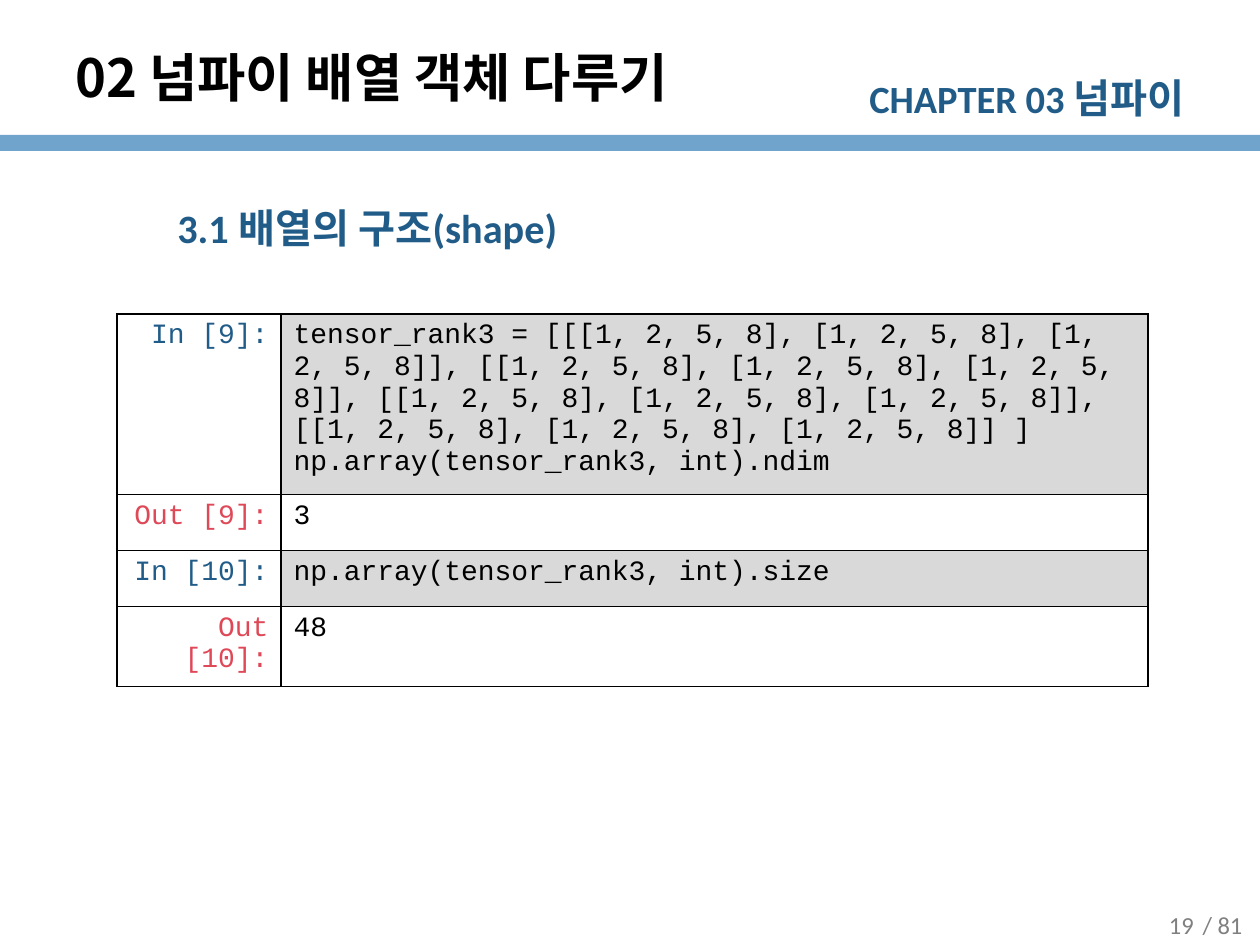
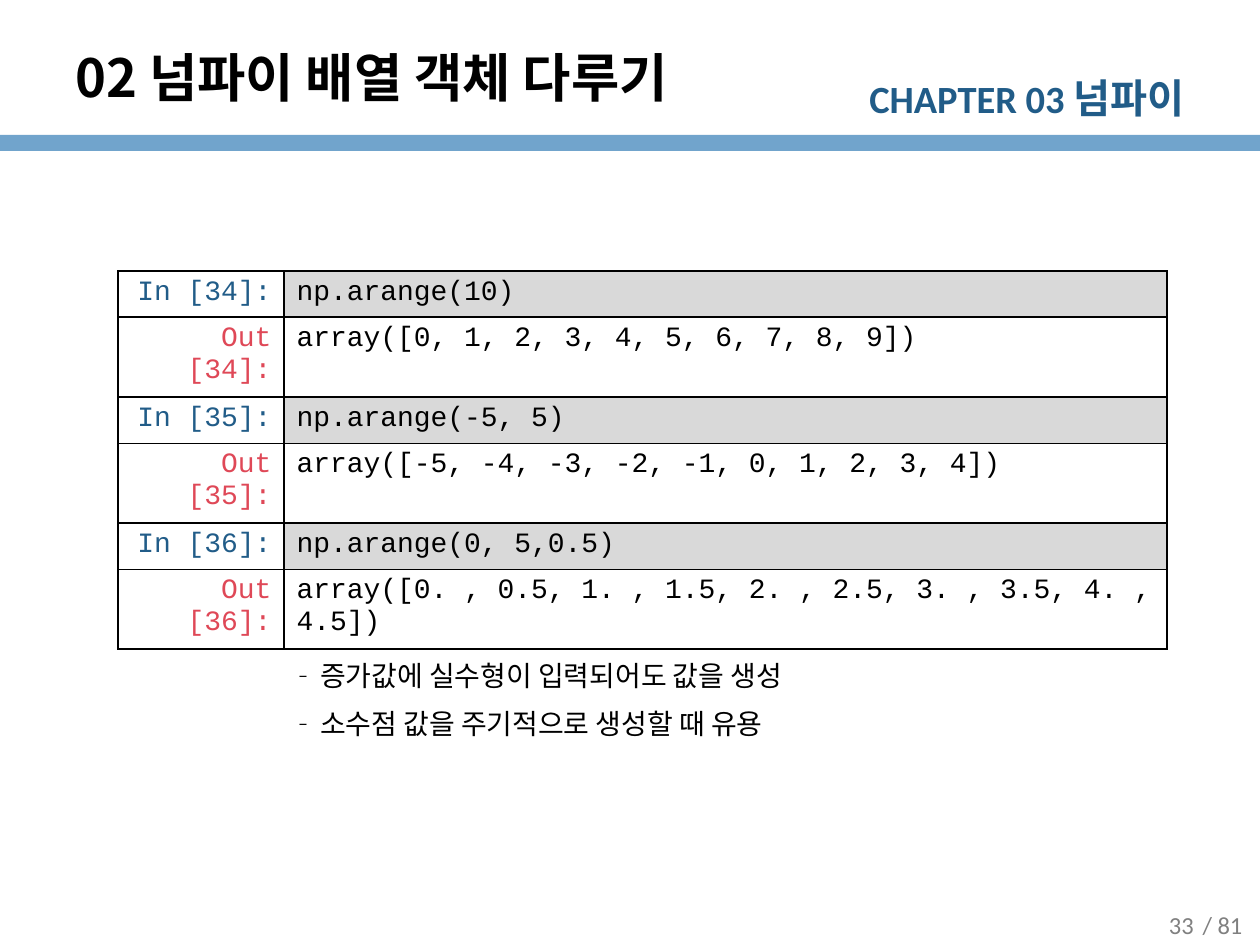
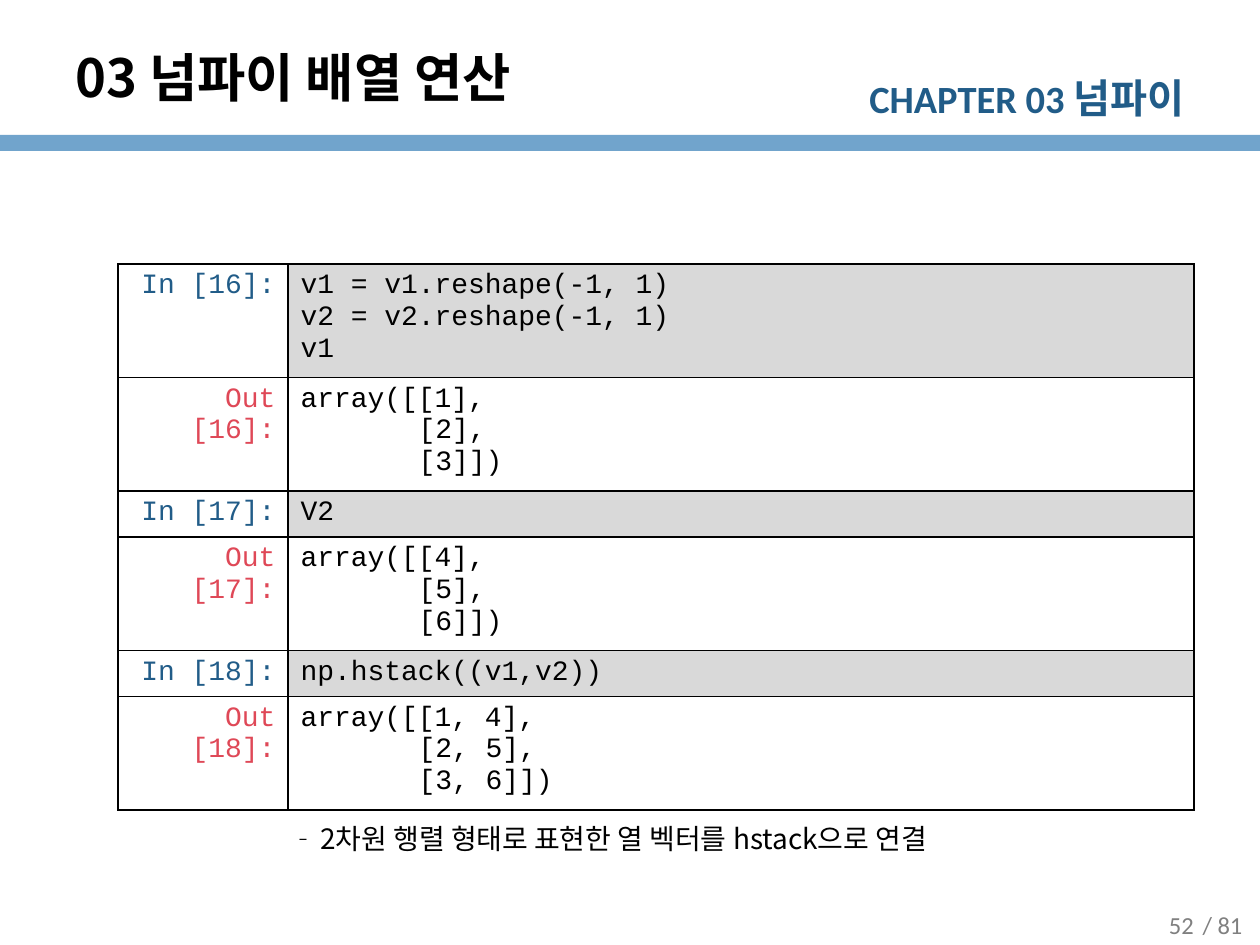
from dataclasses import dataclass

from lxml import etree
from pptx import Presentation
from pptx.dml.color import RGBColor
from pptx.enum.shapes import MSO_SHAPE
from pptx.enum.text import MSO_ANCHOR, PP_ALIGN
from pptx.oxml.ns import qn
from pptx.util import Pt

RECTANGLE = MSO_SHAPE.RECTANGLE
TOP, MIDDLE = MSO_ANCHOR.TOP, MSO_ANCHOR.MIDDLE
LEFT, CENTER, RIGHT = PP_ALIGN.LEFT, PP_ALIGN.CENTER, PP_ALIGN.RIGHT
EMU_PER_PX = 914400 / 126


@dataclass(frozen=True)
class Theme:
    band: str = "71A4CC"
    accent: str = "215C88"
    output: str = "DF4857"
    code_fill: str = "D9D9D9"
    black: str = "000000"
    gray: str = "808080"
    latin: str = "Calibri"
    korean: str = "Noto Sans CJK KR"
    code: str = "Courier New"
    title_size: int = 30
    heading_size: int = 23
    chapter_size: int = 22
    text_size: int = 16
    footer_size: int = 14
    border_width: int = 1
    line_spacing: float = 1.25


THEME = Theme()


@dataclass(frozen=True)
class Box:
    left: int
    top: int
    width: int
    height: int


@dataclass(frozen=True)
class Style:
    font: str
    size: int
    color: str
    bold: bool = False


@dataclass(frozen=True)
class CodeRow:
    """One input or output of the notebook, with the row height in px."""
    number: int
    height: int
    lines: tuple[str, ...]
    is_output: bool = False


@dataclass(frozen=True)
class Notebook:
    left: int
    top: int
    label_width: int
    code_width: int
    rows: tuple[CodeRow, ...]


@dataclass(frozen=True)
class Page:
    number: int
    title: str
    notebook: Notebook
    heading: str = ""
    bullets_top: int = 0
    bullets: tuple[str, ...] = ()


TITLE = Style(THEME.korean, THEME.title_size, THEME.black, True)
HEADING = Style(THEME.latin, THEME.heading_size, THEME.accent, True)
CHAPTER = Style(THEME.latin, THEME.chapter_size, THEME.accent, True)
FOOTER = Style(THEME.latin, THEME.footer_size, THEME.gray)
BULLET = Style(THEME.korean, THEME.text_size, THEME.black)
CODE = Style(THEME.code, THEME.text_size, THEME.black)
INPUT_LABEL = Style(THEME.code, THEME.text_size, THEME.accent)
OUTPUT_LABEL = Style(THEME.code, THEME.text_size, THEME.output)

BAND_BOX = Box(0, 135, 1260, 16)
TITLE_BOX = Box(63, 38, 987, 78)
CHAPTER_BOX = Box(834, 67, 363, 60)
HEADING_BOX = Box(63, 185, 1134, 711)
NUMBER_BOX = Box(1137, 900, 89, 49)
TOTAL_BOX = Box(1178, 900, 89, 49)
BULLETS_LEFT, BULLETS_WIDTH, BULLET_HEIGHT = 88, 970, 40
HEADING_INDENT = 102
BULLET_INDENT, BULLET_HANGING = 220, -31
ARRAY_INDENT = 118  # seven code characters, the width of "array(["

ARRAYS = "02 넘파이 배열 객체 다루기"
PAGES = (
    Page(19, ARRAYS, Notebook(117, 314, 164, 867, (
        CodeRow(9, 171, (
            "tensor_rank3 = [[[1, 2, 5, 8], [1, 2, 5, 8], [1, 2, 5, 8]], "
            "[[1, 2, 5, 8], [1, 2, 5, 8], [1, 2, 5, 8]], "
            "[[1, 2, 5, 8], [1, 2, 5, 8], [1, 2, 5, 8]],"
            "[[1, 2, 5, 8], [1, 2, 5, 8], [1, 2, 5, 8]] ]",
            "np.array(tensor_rank3, int).ndim")),
        CodeRow(9, 56, ("3",), True),
        CodeRow(10, 56, ("np.array(tensor_rank3, int).size",)),
        CodeRow(10, 76, ("48",), True),
    )), heading="3.1 배열의 구조(shape)"),
    Page(33, ARRAYS, Notebook(118, 271, 166, 883, (
        CodeRow(34, 44, ("np.arange(10)",)),
        CodeRow(34, 76, ("array([0, 1, 2, 3, 4, 5, 6, 7, 8, 9])",), True),
        CodeRow(35, 44, ("np.arange(-5, 5)",)),
        CodeRow(35, 76, ("array([-5, -4, -3, -2, -1, 0, 1, 2, 3, 4])",), True),
        CodeRow(36, 44, ("np.arange(0, 5,0.5)",)),
        CodeRow(36, 76, ("array([0. , 0.5, 1. , 1.5, 2. , 2.5, 3. , 3.5, 4. , 4.5])",),
                True),
    )), bullets_top=650, bullets=(
        "증가값에 실수형이 입력되어도 값을 생성",
        "소수점 값을 주기적으로 생성할 때 유용")),
    Page(52, "03 넘파이 배열 연산", Notebook(118, 264, 170, 906, (
        CodeRow(16, 109, ("v1 = v1.reshape(-1, 1)", "v2 = v2.reshape(-1, 1)", "v1")),
        CodeRow(16, 109, ("array([[1],", "[2],", "[3]])"), True),
        CodeRow(17, 44, ("V2",)),
        CodeRow(17, 109, ("array([[4],", "[5],", "[6]])"), True),
        CodeRow(18, 44, ("np.hstack((v1,v2))",)),
        CodeRow(18, 109, ("array([[1, 4],", "[2, 5],", "[3, 6]])"), True),
    )), bullets_top=813, bullets=("2차원 행렬 형태로 표현한 열 벡터를 hstack으로 연결",)),
)


def px(length: int) -> int:
    return round(length * EMU_PER_PX)


def place(box: Box) -> tuple[int, int, int, int]:
    return px(box.left), px(box.top), px(box.width), px(box.height)


# Text
def add_run(paragraph, text: str, style: Style, size: int = 0) -> None:
    run = paragraph.add_run()
    run.text = text
    font = run.font
    font.name = style.font
    font.size = Pt(size or style.size)
    font.bold = style.bold
    font.color.rgb = RGBColor.from_string(style.color)
    east_asian = etree.SubElement(font._element, qn("a:ea"))
    east_asian.set("typeface", THEME.korean)


def add_paragraph(frame, index: int, align=LEFT):
    paragraph = frame.paragraphs[0] if index == 0 else frame.add_paragraph()
    paragraph.alignment = align
    return paragraph


def indent(paragraph, left: int, first: int = 0) -> None:
    properties = paragraph._p.get_or_add_pPr()
    properties.set("marL", str(px(left)))
    properties.set("indent", str(px(first)))


def add_frame(slide, box: Box, anchor=TOP):
    frame = slide.shapes.add_textbox(*place(box)).text_frame
    frame.word_wrap = True
    frame.vertical_anchor = anchor
    return frame


def add_label(slide, box: Box, text: str, style: Style, align=LEFT) -> None:
    paragraph = add_paragraph(add_frame(slide, box, MIDDLE), 0, align)
    add_run(paragraph, text, style)


# Shared parts: band, chapter, page number and title
def add_page_frame(slide, page: Page) -> None:
    band = slide.shapes.add_shape(RECTANGLE, *place(BAND_BOX))
    band.shadow.inherit = False
    band.fill.solid()
    band.fill.fore_color.rgb = RGBColor.from_string(THEME.band)
    band.line.fill.background()

    chapter = add_paragraph(add_frame(slide, CHAPTER_BOX), 0, RIGHT)
    add_run(chapter, "CHAPTER 03 ", CHAPTER)
    add_run(chapter, "넘파이", CHAPTER, THEME.heading_size)

    add_label(slide, TOTAL_BOX, "/ 81", FOOTER, CENTER)
    add_label(slide, NUMBER_BOX, str(page.number), FOOTER, CENTER)
    add_label(slide, TITLE_BOX, page.title, TITLE)


def add_heading(slide, text: str) -> None:
    paragraph = add_paragraph(add_frame(slide, HEADING_BOX), 0)
    indent(paragraph, HEADING_INDENT)
    paragraph.line_spacing = THEME.line_spacing
    paragraph.space_before = Pt(5)
    add_run(paragraph, text, HEADING)


# Notebook table
def add_borders(cell) -> None:
    properties = cell._tc.get_or_add_tcPr()
    for position, side in enumerate(("a:lnL", "a:lnR", "a:lnT", "a:lnB")):
        line = etree.Element(qn(side), w=str(Pt(THEME.border_width)))
        fill = etree.SubElement(line, qn("a:solidFill"))
        etree.SubElement(fill, qn("a:srgbClr"), val=THEME.black)
        properties.insert(position, line)


def fill_row(label_cell, code_cell, row: CodeRow) -> None:
    word, style = ("Out", OUTPUT_LABEL) if row.is_output else ("In", INPUT_LABEL)
    label = add_paragraph(label_cell.text_frame, 0, RIGHT)
    add_run(label, f"{word} [{row.number}]:", style)
    for index, line in enumerate(row.lines):
        paragraph = add_paragraph(code_cell.text_frame, index)
        if row.is_output and index > 0:
            indent(paragraph, ARRAY_INDENT)
        add_run(paragraph, line, CODE)

    label_cell.fill.background()
    if row.is_output:
        code_cell.fill.background()
    else:
        code_cell.fill.solid()
        code_cell.fill.fore_color.rgb = RGBColor.from_string(THEME.code_fill)
    add_borders(label_cell)
    add_borders(code_cell)


def add_notebook(slide, notebook: Notebook) -> None:
    widths = (notebook.label_width, notebook.code_width)
    box = Box(notebook.left, notebook.top, sum(widths),
              sum(row.height for row in notebook.rows))
    table = slide.shapes.add_table(len(notebook.rows), len(widths), *place(box)).table
    table.first_row = False
    table.horz_banding = False
    for column, width in zip(table.columns, widths):
        column.width = px(width)
    for index, row in enumerate(notebook.rows):
        table.rows[index].height = px(row.height)
        fill_row(table.cell(index, 0), table.cell(index, 1), row)


# Bullets below the table
def add_bullets(slide, top: int, bullets: tuple[str, ...]) -> None:
    box = Box(BULLETS_LEFT, top, BULLETS_WIDTH, BULLET_HEIGHT * len(bullets))
    frame = add_frame(slide, box)
    frame.margin_top = frame.margin_bottom = 0
    for index, bullet in enumerate(bullets):
        paragraph = add_paragraph(frame, index)
        indent(paragraph, BULLET_INDENT, BULLET_HANGING)
        paragraph.line_spacing = THEME.line_spacing
        paragraph.space_before = Pt(3.8)
        properties = paragraph._p.get_or_add_pPr()
        color = etree.SubElement(properties, qn("a:buClr"))
        etree.SubElement(color, qn("a:srgbClr"), val=THEME.black)
        etree.SubElement(properties, qn("a:buFont"), typeface=THEME.korean)
        etree.SubElement(properties, qn("a:buChar"), char="‐")
        add_run(paragraph, bullet, BULLET)


def main() -> None:
    presentation = Presentation()
    presentation.slide_width = px(1260)
    presentation.slide_height = px(945)
    blank_layout = presentation.slide_layouts[6]
    for page in PAGES:
        slide = presentation.slides.add_slide(blank_layout)
        add_page_frame(slide, page)
        if page.heading:
            add_heading(slide, page.heading)
        add_notebook(slide, page.notebook)
        if page.bullets:
            add_bullets(slide, page.bullets_top, page.bullets)
    presentation.save("out.pptx")


if __name__ == "__main__":
    main()
